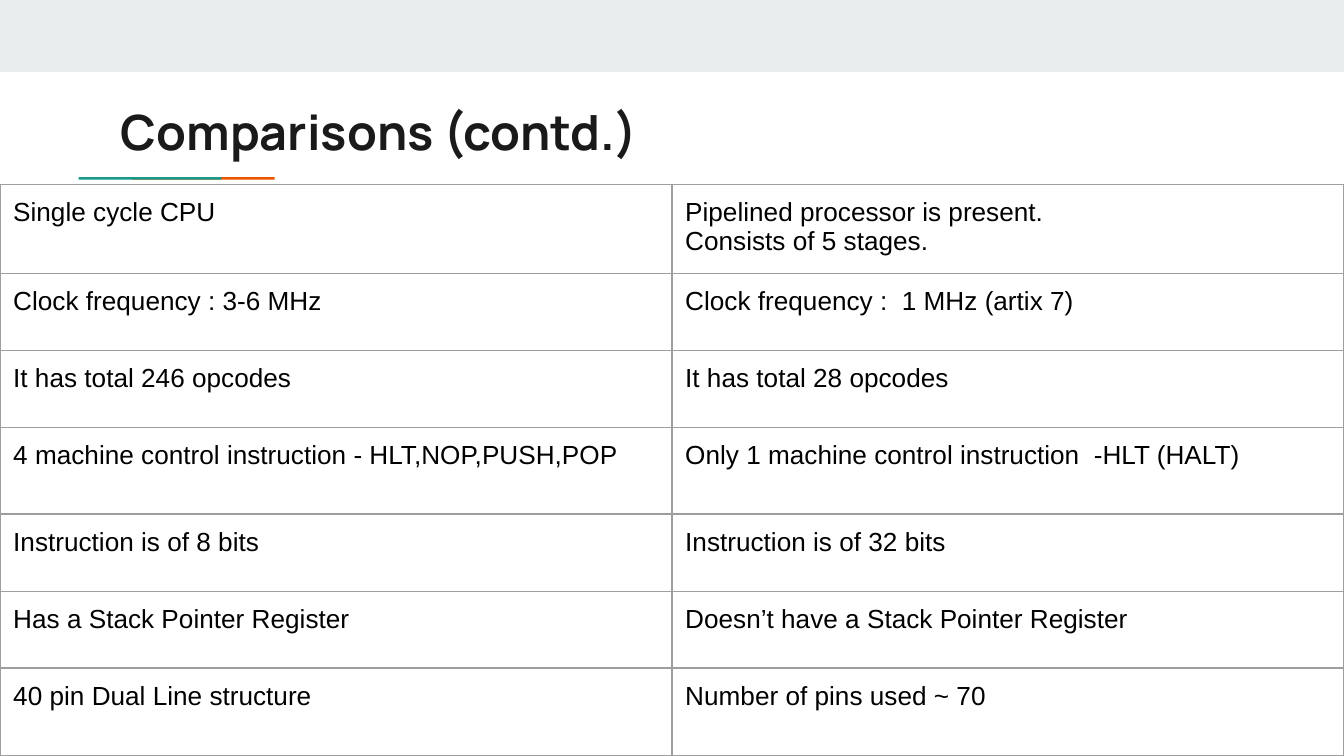
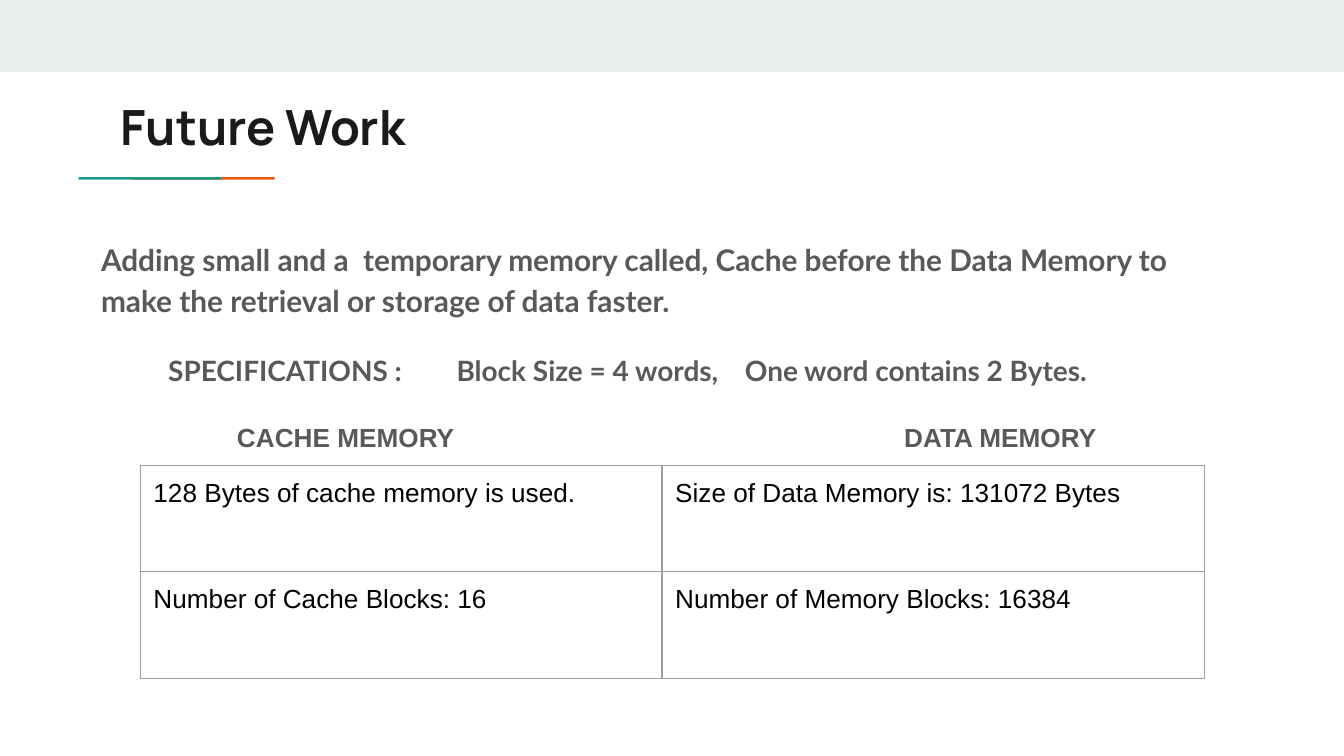
import pptx
import pptx.dml.color
import pptx.enum.shapes
import pptx.enum.text
import pptx.oxml
import pptx.oxml.ns
import pptx.util

Cm, Pt = pptx.util.Cm, pptx.util.Pt
RGBColor = pptx.dml.color.RGBColor

# Content
COMPARISONS = [
    ("Single cycle CPU", "Pipelined processor is present.\nConsists of 5 stages."),
    ("Clock frequency : 3-6 MHz", "Clock frequency :  1 MHz (artix 7)"),
    ("It has total 246 opcodes", "It has total 28 opcodes"),
    ("4 machine control instruction - HLT,NOP,PUSH,POP",
     "Only 1 machine control instruction  -HLT (HALT)"),
    ("Instruction is of 8 bits", "Instruction is of 32 bits"),
    ("Has a Stack Pointer Register", "Doesn’t have a Stack Pointer Register"),
    ("40 pin Dual Line structure", "Number of pins used ~ 70"),
]
MEMORIES = [
    ("128 Bytes of cache memory is used.", "Size of Data Memory is: 131072 Bytes"),
    ("Number of Cache Blocks: 16", "Number of Memory Blocks: 16384"),
]
# Each line: columns, tab stops in cm, font name, size, space before
FUTURE_WORK = [
    (["Adding small and a  temporary memory called, Cache before the Data Memory "
      "to make the retrieval or storage of data faster."], [], "Lato", 16, 0),
    (["SPECIFICATIONS :", "Block Size = 4 words,", "One word contains 2 Bytes."],
     [1.27, 6.72, 12.17], "Lato", 15, 16),
    (["CACHE MEMORY", "DATA MEMORY"], [2.57, 15.18], "Arial", 14, 16),
]

# Shared look
SLIDE_WIDTH, SLIDE_HEIGHT = 25.4, 14.29
INSET = 0.25
BAND = RGBColor(0xE9, 0xED, 0xEE)
TEAL = RGBColor(0x1A, 0x99, 0x88)
ORANGE = RGBColor(0xEB, 0x56, 0x00)
GRID = RGBColor(0x9E, 0x9E, 0x9E)
TITLE_FONT = {"name": "Manrope", "size": Pt(26), "bold": True}
TITLE_COLOR = RGBColor(0x1A, 0x1A, 0x1A)
BODY_COLOR = RGBColor(0x59, 0x59, 0x59)
CELL_FONT = {"name": "Arial", "size": Pt(14), "bold": False}
CELL_COLOR = RGBColor(0, 0, 0)
# Title rule: two upright bars turned on their side, stretched as a group
RULE_LEFT, RULE_TOP, RULE_WIDTH = 2.77, 2.85, 1.14
BAR_WIDTH, BAR_LENGTH, BAR_STEP = 0.05, 1.04, 0.39


def format_font(font, values, color):
    for attribute, value in values.items():
        setattr(font, attribute, value)
    font.color.rgb = color


def set_insets(holder):
    for side in ("left", "top", "right", "bottom"):
        setattr(holder, f"margin_{side}", Cm(INSET))


def add_text_frame(slide, box):
    frame = slide.shapes.add_textbox(*map(Cm, box)).text_frame
    frame.word_wrap = True
    frame.vertical_anchor = pptx.enum.text.MSO_ANCHOR.TOP
    set_insets(frame)
    return frame


def add_bar(shapes, box, color, rotation=0):
    bar = shapes.add_shape(
        pptx.enum.shapes.MSO_SHAPE.RECTANGLE, *map(Cm, box))
    bar.rotation = rotation
    bar.shadow.inherit = False
    bar.fill.solid()
    bar.fill.fore_color.rgb = color
    bar.line.fill.background()


def add_titled_slide(deck, title, title_top):
    slide = deck.slides.add_slide(deck.slide_layouts[6])
    add_bar(slide.shapes, (0, 0, SLIDE_WIDTH, 1.36), BAND)
    rule = slide.shapes.add_group_shape()
    for step, color in ((1, ORANGE), (0, TEAL)):
        add_bar(rule.shapes, (RULE_LEFT + step * BAR_STEP, RULE_TOP,
                              BAR_WIDTH, BAR_LENGTH), color, 270)
    rule.width = Cm(RULE_WIDTH)
    heading = add_text_frame(slide, (2.03, title_top, 21.36, 1.5)).paragraphs[0]
    run = heading.add_run()
    run.text = title
    format_font(run.font, TITLE_FONT, TITLE_COLOR)
    return slide


def add_borders(cell):
    properties = cell._tc.get_or_add_tcPr()
    namespace = pptx.oxml.ns.nsdecls("a")
    for edge in "LRTB":
        properties.append(pptx.oxml.parse_xml(
            f'<a:ln{edge} {namespace} w="{Pt(0.75)}"><a:solidFill>'
            f'<a:srgbClr val="{GRID}"/></a:solidFill></a:ln{edge}>'))


def add_grid(slide, content, left, top, widths, heights):
    table = slide.shapes.add_table(
        len(heights), len(widths), Cm(left), Cm(top),
        Cm(sum(widths)), Cm(sum(heights))).table
    table.first_row = table.horz_banding = False
    for column, width in zip(table.columns, widths):
        column.width = Cm(width)
    for row, height, texts in zip(table.rows, heights, content):
        row.height = Cm(height)
        for cell, text in zip(row.cells, texts):
            add_borders(cell)
            cell.fill.background()
            set_insets(cell)
            cell.text = text
            for paragraph in cell.text_frame.paragraphs:
                for run in paragraph.runs:
                    format_font(run.font, CELL_FONT, CELL_COLOR)


def add_tab_stops(paragraph, stops):
    tabs = "".join(f'<a:tab pos="{Cm(stop)}" algn="l"/>' for stop in stops)
    paragraph._p.get_or_add_pPr().append(pptx.oxml.parse_xml(
        f'<a:tabLst {pptx.oxml.ns.nsdecls("a")}>{tabs}</a:tabLst>'))


def add_future_work(slide):
    frame = add_text_frame(slide, (1.66, 4.22, 21.72, 9.55))
    for index, (columns, stops, name, size, before) in enumerate(FUTURE_WORK):
        paragraph = frame.add_paragraph() if index else frame.paragraphs[0]
        paragraph.line_spacing = 1.15
        paragraph.space_before = Pt(before)
        if stops:
            add_tab_stops(paragraph, stops)
        run = paragraph.add_run()
        run.text = ("\t" if stops else "") + "\t".join(columns)
        format_font(run.font, {"name": name, "size": Pt(size), "bold": True},
                    BODY_COLOR)


def main():
    deck = pptx.Presentation()
    deck.slide_width, deck.slide_height = Cm(SLIDE_WIDTH), Cm(SLIDE_HEIGHT)

    # Comparison table across the full width
    comparisons = add_titled_slide(deck, "Comparisons (contd.)", 1.68)
    add_grid(comparisons, COMPARISONS, 0, 3.48, [SLIDE_WIDTH / 2] * 2,
             [1.65, 1.46, 1.45, 1.64, 1.46, 1.45, 1.65])

    # Planned cache and its sizes
    future = add_titled_slide(deck, "Future Work", 1.58)
    add_future_work(future)
    add_grid(future, MEMORIES, 2.65, 8.8, [9.86, 10.26], [2.01] * 2)

    deck.save("out.pptx")


if __name__ == "__main__":
    main()
